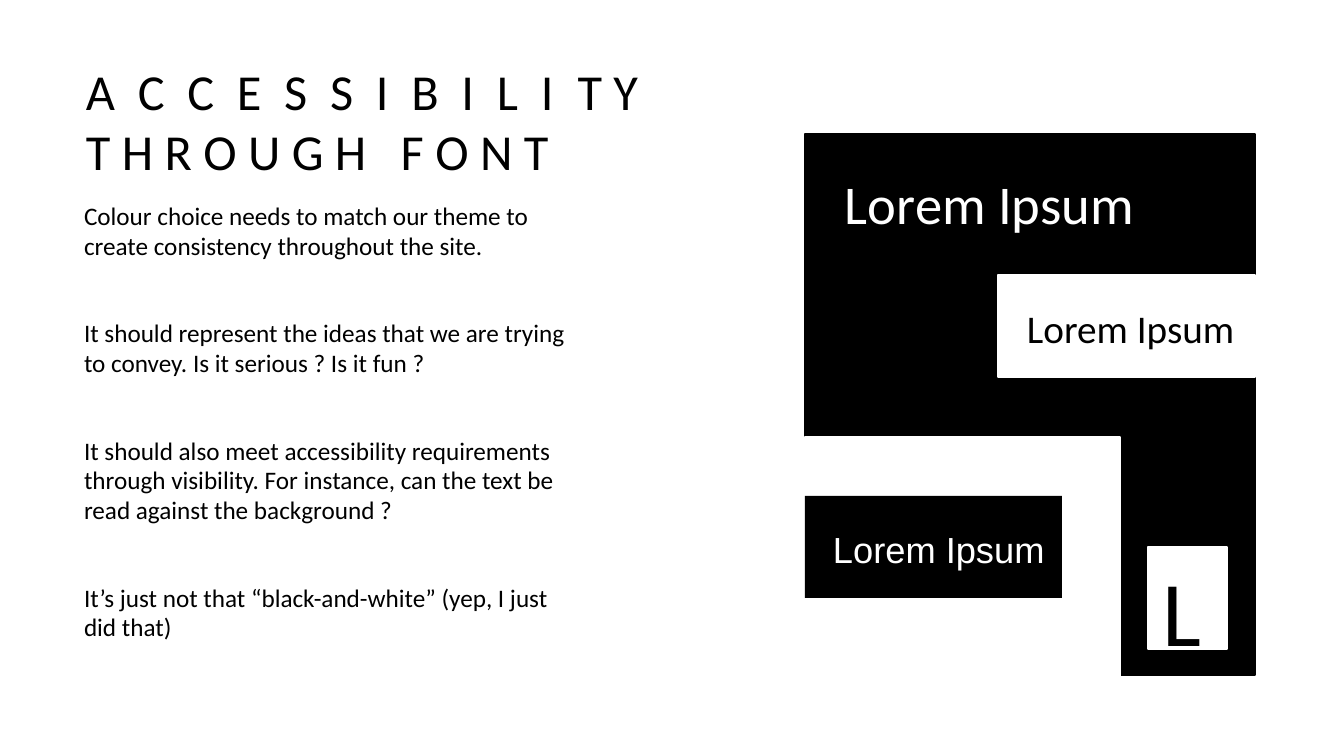
"""Build the slide on accessibility through font."""
from dataclasses import dataclass

from pptx import Presentation
from pptx.dml.color import RGBColor
from pptx.enum.shapes import MSO_SHAPE
from pptx.enum.text import MSO_ANCHOR
from pptx.util import Emu, Pt

RECT = MSO_SHAPE.RECTANGLE
TOP = MSO_ANCHOR.TOP
BLACK, WHITE = "000000", "FFFFFF"
SANS, PLAIN = "Calibri", "Arial"


@dataclass(frozen=True)
class Run:
    """A piece of text with its letter spacing in points."""
    text: str
    space: float = 0


@dataclass(frozen=True)
class Block:
    """A filled rectangle with an edge width in points."""
    left: int
    top: int
    width: int
    height: int
    color: str
    edge: float = 1.5


@dataclass(frozen=True)
class Text:
    """A text box; each paragraph is a list of lines of runs."""
    left: int
    top: int
    width: int
    height: int
    size: float
    color: str
    paras: list[list[list[Run]]]
    font: str = SANS
    pitch: float = 1.0
    after: float = 0


def px(count: int) -> Emu:
    """Turn px into EMU."""
    return Emu(round(count * 914400 / 100.8))


def ink(code: str) -> RGBColor:
    """Turn a hex string into a colour."""
    return RGBColor.from_string(code)


def place(item: Block | Text) -> tuple[Emu, Emu, Emu, Emu]:
    """Give the frame of an item in EMU."""
    return px(item.left), px(item.top), px(item.width), px(item.height)


def draw_block(slide, block: Block) -> None:
    """Draw one rectangle."""
    shape = slide.shapes.add_shape(RECT, *place(block))
    shape.shadow.inherit = False
    shape.fill.solid()
    shape.fill.fore_color.rgb = ink(block.color)
    if block.edge:
        shape.line.color.rgb = ink(block.color)
        shape.line.width = Pt(block.edge)
    else:
        shape.line.fill.background()


def draw_text(slide, text: Text) -> None:
    """Draw one text box run by run."""
    frame = slide.shapes.add_textbox(*place(text)).text_frame
    frame.word_wrap = True
    frame.vertical_anchor = TOP
    frame.margin_left = frame.margin_right = 0
    frame.margin_top = frame.margin_bottom = 0
    for index, lines in enumerate(text.paras):
        para = frame.add_paragraph() if index else frame.paragraphs[0]
        para.line_spacing = text.pitch
        para.space_after = Pt(text.after)
        for row, line in enumerate(lines):
            if row:
                para.add_line_break()
            for part in line:
                run = para.add_run()
                run.text = part.text
                run.font.size = Pt(text.size)
                run.font.name = text.font
                run.font.color.rgb = ink(text.color)
                if part.space:
                    run.font._element.set("spc", str(round(part.space * 100)))


def plain(*words: str) -> list[list[list[Run]]]:
    """Make one paragraph of each string."""
    return [[[Run(word)]] for word in words]


BLOCKS = [
    Block(805, 134, 450, 541, BLACK),
    Block(805, 437, 315, 242, WHITE),
    Block(805, 496, 257, 102, BLACK, 0),
    Block(998, 275, 257, 102, WHITE),
    Block(1148, 547, 79, 102, WHITE),
]

TITLE = [[
    [Run("A C C E S S I B I L I ", 4.07), Run("T Y")],
    [Run("T H R O U G H"), Run(" ", 16.28), Run("F O N T")],
]]

POINTS = plain(
    "Colour choice needs to match our theme to create consistency throughout the site.",
    "It should represent the ideas that we are trying to convey. Is it serious ? Is it fun ?",
    "It should also meet accessibility requirements through visibility. "
    "For instance, can the text be read against the background ?",
    "It’s just not that “black-and-white” (yep, I just did that)",
)

TEXTS = [
    Text(86, 60, 1200, 124, 36, BLACK, TITLE),
    Text(84, 202, 498, 450, 18, BLACK, POINTS, pitch=0.98, after=41.4),
    Text(1027, 304, 220, 50, 28, BLACK, plain("Lorem Ipsum")),
    Text(845, 170, 342, 70, 39, WHITE, plain("Lorem Ipsum")),
    Text(833, 527, 240, 44, 25.9, WHITE, plain("Lorem Ipsum"), PLAIN),
    Text(1163, 554, 60, 113, 66, BLACK, plain("L")),
]


def main() -> None:
    """Build and save the deck."""
    deck = Presentation()
    deck.slide_width, deck.slide_height = px(1344), px(756)
    slide = deck.slides.add_slide(deck.slide_layouts[6])
    for block in BLOCKS:
        draw_block(slide, block)
    for text in TEXTS:
        draw_text(slide, text)
    deck.save("out.pptx")


if __name__ == "__main__":
    main()
